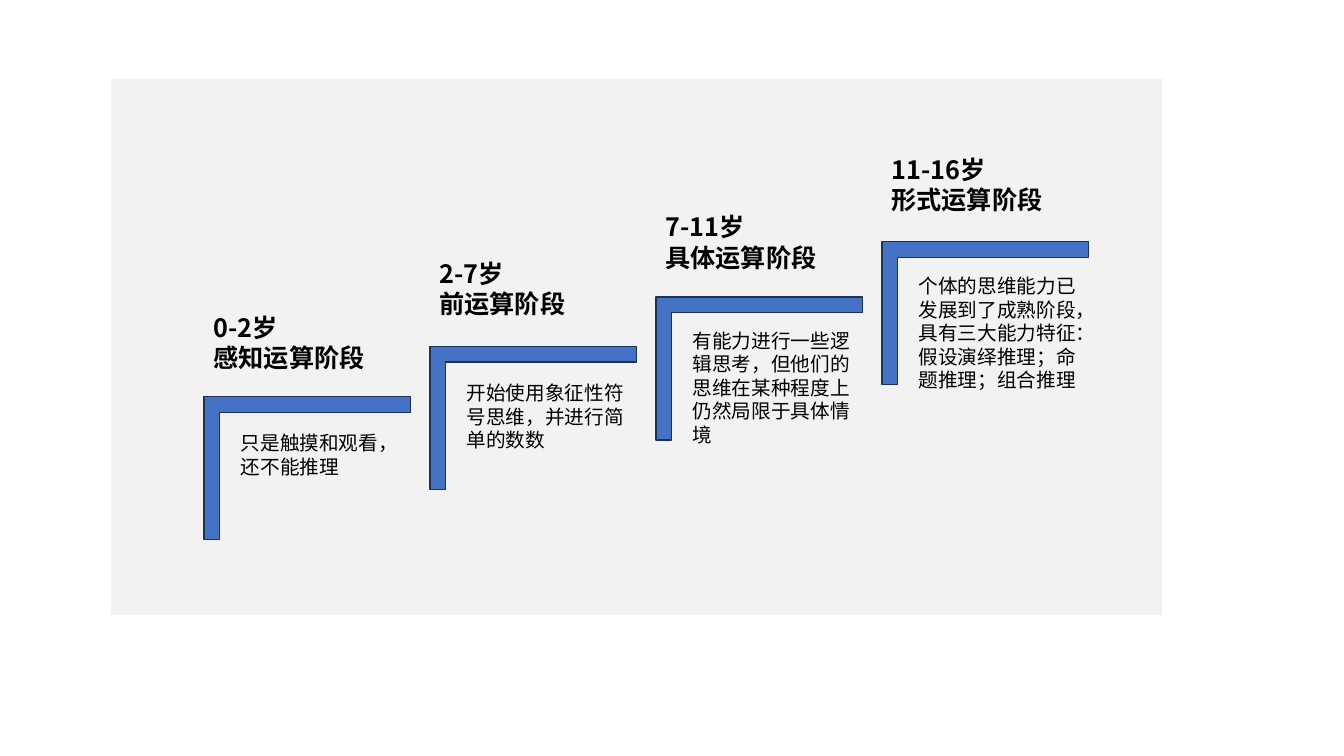
import dataclasses

import lxml.etree
import pptx
import pptx.dml.color
import pptx.enum.shapes
import pptx.enum.text
import pptx.oxml.ns
import pptx.util

Pt = pptx.util.Pt
RGB = pptx.dml.color.RGBColor.from_string
MSO_SHAPE = pptx.enum.shapes.MSO_SHAPE


@dataclasses.dataclass(frozen=True)
class Theme:
    font: str = "Noto Sans CJK SC"
    panel: str = "F2F2F2"
    step: str = "4472C4"
    outline: str = "1E3256"
    text: str = "000000"
    title_size: int = 18
    body_size: int = 14


class StageSlide:
    def __init__(self, prs, theme):
        self.theme = theme
        self.s = prs.slides.add_slide(prs.slide_layouts[6])
        self.shapes = self.s.shapes.add_group_shape().shapes

    def shape(self, kind, left, top, width, height, fill):
        sp = self.shapes.add_shape(kind, Pt(left), Pt(top), Pt(width), Pt(height))
        sp.shadow.inherit = False
        sp.fill.solid()
        sp.fill.fore_color.rgb = RGB(fill)
        sp.line.fill.background()
        return sp

    def panel(self, left, top, width, height):
        self.shape(MSO_SHAPE.RECTANGLE, left, top, width, height, self.theme.panel)

    def corner(self, left, top, width, height):
        sp = self.shape(MSO_SHAPE.CORNER, left, top, width, height, self.theme.step)
        sp.rotation = 90
        sp.adjustments[0] = sp.adjustments[1] = 0.11
        sp.line.color.rgb = RGB(self.theme.outline)
        sp.line.width = Pt(1)

    def text(self, lines, left, top, width, height, size, bold=False, wrap=True):
        sp = self.shapes.add_textbox(Pt(left), Pt(top), Pt(width), Pt(height))
        tf = sp.text_frame
        tf.word_wrap = wrap
        tf.auto_size = pptx.enum.text.MSO_AUTO_SIZE.SHAPE_TO_FIT_TEXT
        tf.text = "\n".join(lines)
        for p in tf.paragraphs:
            p.font.size = Pt(size)
            p.font.bold = bold
            p.font.name = self.theme.font
            p.font.color.rgb = RGB(self.theme.text)
            props = p._p.pPr.find(pptx.oxml.ns.qn("a:defRPr"))
            ea = lxml.etree.SubElement(props, pptx.oxml.ns.qn("a:ea"))
            ea.set("typeface", self.theme.font)

    def title(self, lines, left, top, width):
        self.text(lines, left, top, width, 51, self.theme.title_size, True, False)

    def body(self, line, left, top, height):
        self.text([line], left, top, 128.5, height, self.theme.body_size)


STAGES = [
    ("0-2岁", "感知运算阶段", "只是触摸和观看，还不能推理",
     219.6, 124, 260.6, 304.6, 41),
    ("2-7岁", "前运算阶段", "开始使用象征性符号思维，并进行简单的数数",
     180.7, 105, 224.6, 268.6, 58),
    ("7-11岁", "具体运算阶段",
     "有能力进行一些逻辑思考，但他们的思维在某种程度上仍然局限于具体情境",
     147.6, 124, 189.4, 231.1, 92),
    ("11-16岁", "形式运算阶段",
     "个体的思维能力已发展到了成熟阶段，具有三大能力特征：假设演绎推理；命题推理；组合推理",
     106.6, 124, 149.8, 192.2, 92),
]
STEP_PITCH = 161.4


def main():
    prs = pptx.Presentation()
    prs.slide_width, prs.slide_height = Pt(960), Pt(540)
    slide = StageSlide(prs, Theme())
    slide.panel(79.2, 56.2, 751, 383)
    for i, stage in enumerate(STAGES):
        age, name, detail, title_top, title_width, corner_top, body_top, body_height = stage
        x = i * STEP_PITCH
        slide.corner(168.4 + x, corner_top, 102.2, 147.6)
        slide.title([age, name], 145.4 + x, title_top, title_width)
        slide.body(detail, 164.9 + x, body_top, body_height)
    prs.save("out.pptx")


if __name__ == "__main__":
    main()
